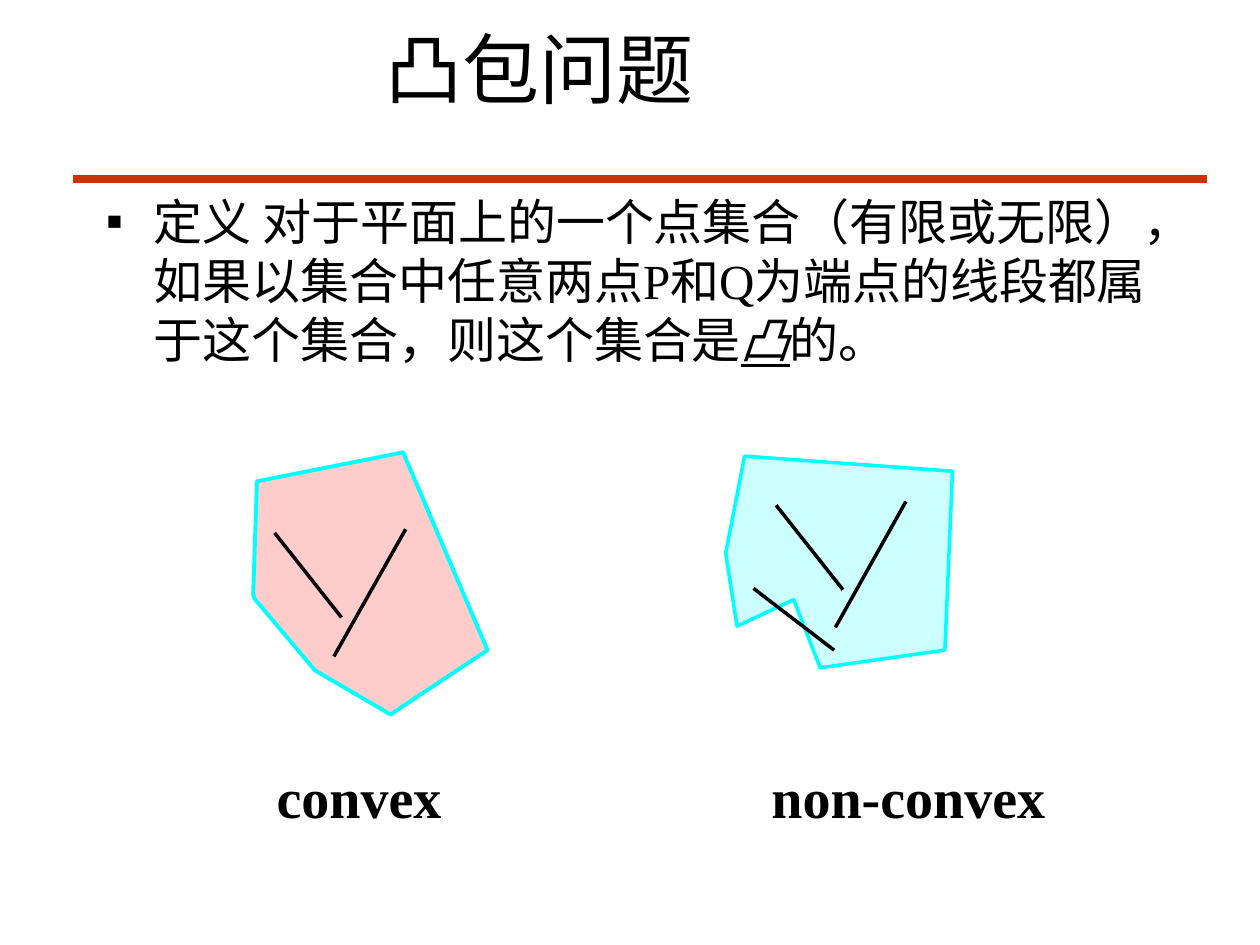
from lxml.etree import SubElement
from pptx import Presentation
from pptx.dml.color import RGBColor
from pptx.enum.shapes import MSO_CONNECTOR as CONN
from pptx.enum.text import MSO_ANCHOR as ANCHOR, MSO_AUTO_SIZE as AUTO, PP_ALIGN as ALIGN
from pptx.oxml.ns import qn
from pptx.util import Inches, Pt

FONT = "Times New Roman"
TITLE = "凸包问题"
BODY = [
    ("定义 对于平面上的一个点集合（有限或无限），如果以集合中任意两点P和Q为端点的线段都属于这个集合，则这个集合是", {}),
    ("凸", {"italic": True, "underline": True}),
    ("的。", {}),
]
RULE = (0.58, 1.42, 9.58, 1.42)
FIGURES = [
    {
        "label": "convex", "label_left": 1.23, "fill": "FF0000", "width": 2.25,
        "outline": [(2.01, 4.71), (2.02, 4.75), (2.5, 5.32), (3.1, 5.67),
                    (3.87, 5.16), (3.2, 3.59), (2.04, 3.82)],
        "segments": [(2.18, 4.23, 2.71, 4.9), (3.22, 4.2, 2.65, 5.21)],
    },
    {
        "label": "non-convex", "label_left": 5.59, "fill": "00FFFF", "width": 2,
        "outline": [(5.76, 4.39), (5.85, 4.97), (6.3, 4.76), (6.51, 5.3),
                    (7.5, 5.16), (7.56, 3.74), (5.91, 3.62)],
        "segments": [(6.16, 4.01, 6.69, 4.68), (7.19, 3.98, 6.63, 4.98),
                     (5.98, 4.67, 6.62, 5.16)],
    },
]


def paint(color, value):
    color.rgb = RGBColor.from_string(value)


def place(sp, *box):
    for name, value in zip(("left", "top", "width", "height"), box):
        setattr(sp, name, Inches(value))


def add_run(p, text, size, **styles):
    r = p.add_run()
    r.text = text
    for name, value in {"name": FONT, "size": Pt(size), **styles}.items():
        setattr(r.font, name, value)
    paint(r.font.color, "000000")


def add_line(s, ends, color="000000", width=2):
    line = s.shapes.add_connector(CONN.STRAIGHT, *map(Inches, ends))
    paint(line.line.color, color)
    line.line.width = Pt(width)
    SubElement(line._element.spPr, qn("a:effectLst"))


def add_polygon(s, points, fill, width):
    start, *rest = [(Inches(x), Inches(y)) for x, y in points]
    builder = s.shapes.build_freeform(*start)
    builder.add_line_segments(rest, close=True)
    sp = builder.convert_to_shape()
    sp.shadow.inherit = False
    sp.fill.solid()
    paint(sp.fill.fore_color, fill)
    color = sp._element.spPr.find(qn("a:solidFill"))[0]
    SubElement(color, qn("a:alpha"), val="20000")
    paint(sp.line.color, "00FFFF")
    sp.line.width = Pt(width)


def add_label(s, text, left):
    sp = s.shapes.add_textbox(*map(Inches, (left, 6, 3.24, 0.63)))
    tf = sp.text_frame
    tf.word_wrap = True
    tf.auto_size = AUTO.SHAPE_TO_FIT_TEXT
    p = tf.paragraphs[0]
    p.alignment = ALIGN.CENTER
    add_run(p, text, 32, bold=True)


def fill_title(sp):
    place(sp, 0.5, 0.01, 7.56, 1.05)
    tf = sp.text_frame
    tf.auto_size = AUTO.NONE
    tf.vertical_anchor = ANCHOR.MIDDLE
    p = tf.paragraphs[0]
    p.alignment = ALIGN.CENTER
    add_run(p, TITLE, 44)


def fill_body(sp):
    place(sp, 0.74, 1.47, 8.7, 1.89)
    tf = sp.text_frame
    tf.auto_size = AUTO.NONE
    p = tf.paragraphs[0]
    p.space_before = Pt(5.6)
    pPr = p._p.get_or_add_pPr()
    pPr.set("marL", str(Inches(0.38)))
    pPr.set("indent", str(Inches(-0.38)))
    SubElement(pPr, qn("a:buFont"), typeface=FONT)
    SubElement(pPr, qn("a:buChar"), char="▪")
    for text, styles in BODY:
        add_run(p, text, 28, **styles)


def main():
    prs = Presentation()
    prs.slide_width, prs.slide_height = Inches(10), Inches(7.5)
    s = prs.slides.add_slide(prs.slide_layouts[1])
    add_line(s, RULE, "CC3300", 4.5)
    fill_title(s.shapes.title)
    fill_body(s.placeholders[1])
    for figure in FIGURES:
        add_polygon(s, figure["outline"], figure["fill"], figure["width"])
        for ends in figure["segments"]:
            add_line(s, ends)
        add_label(s, figure["label"], figure["label_left"])
    prs.save("out.pptx")


if __name__ == "__main__":
    main()
